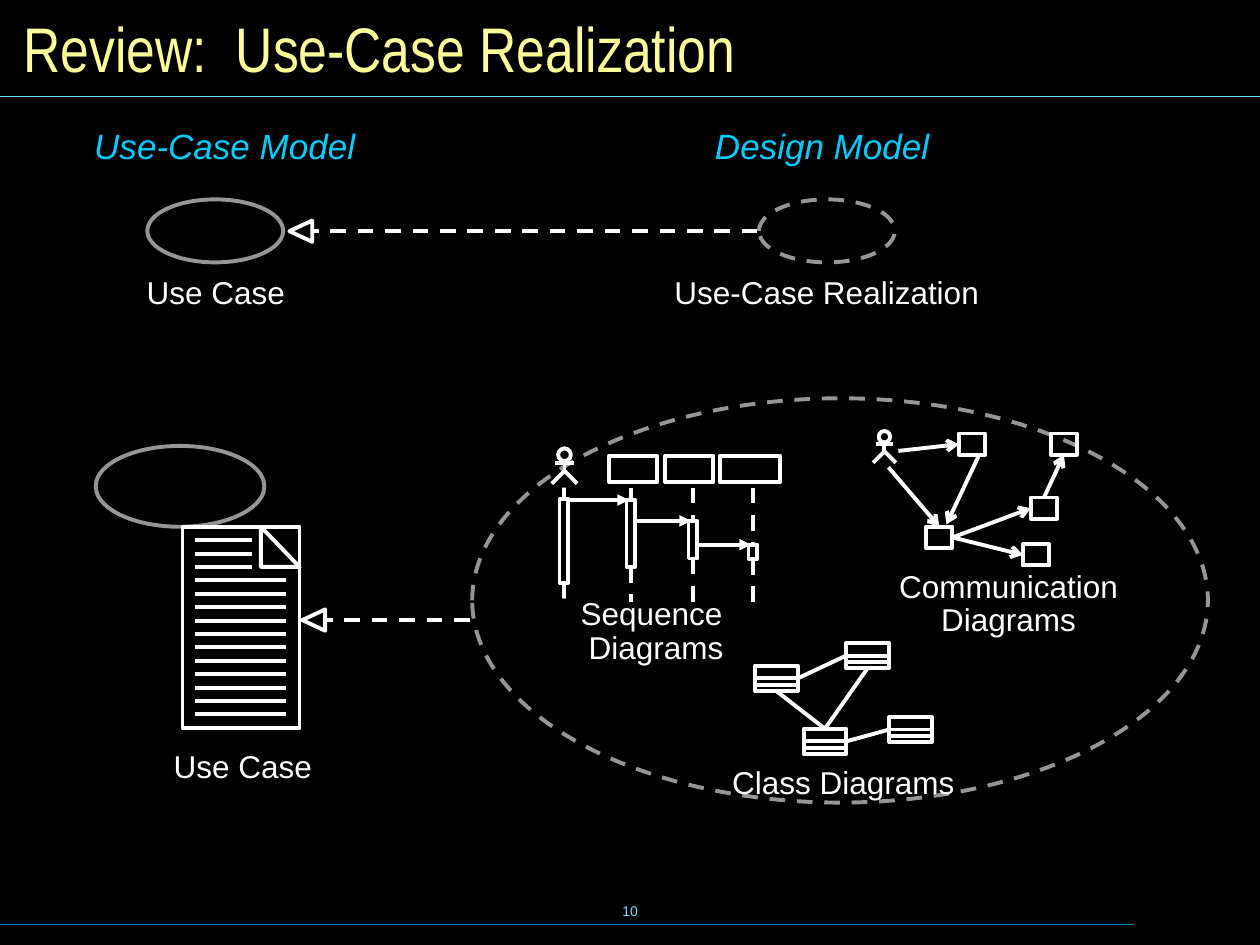
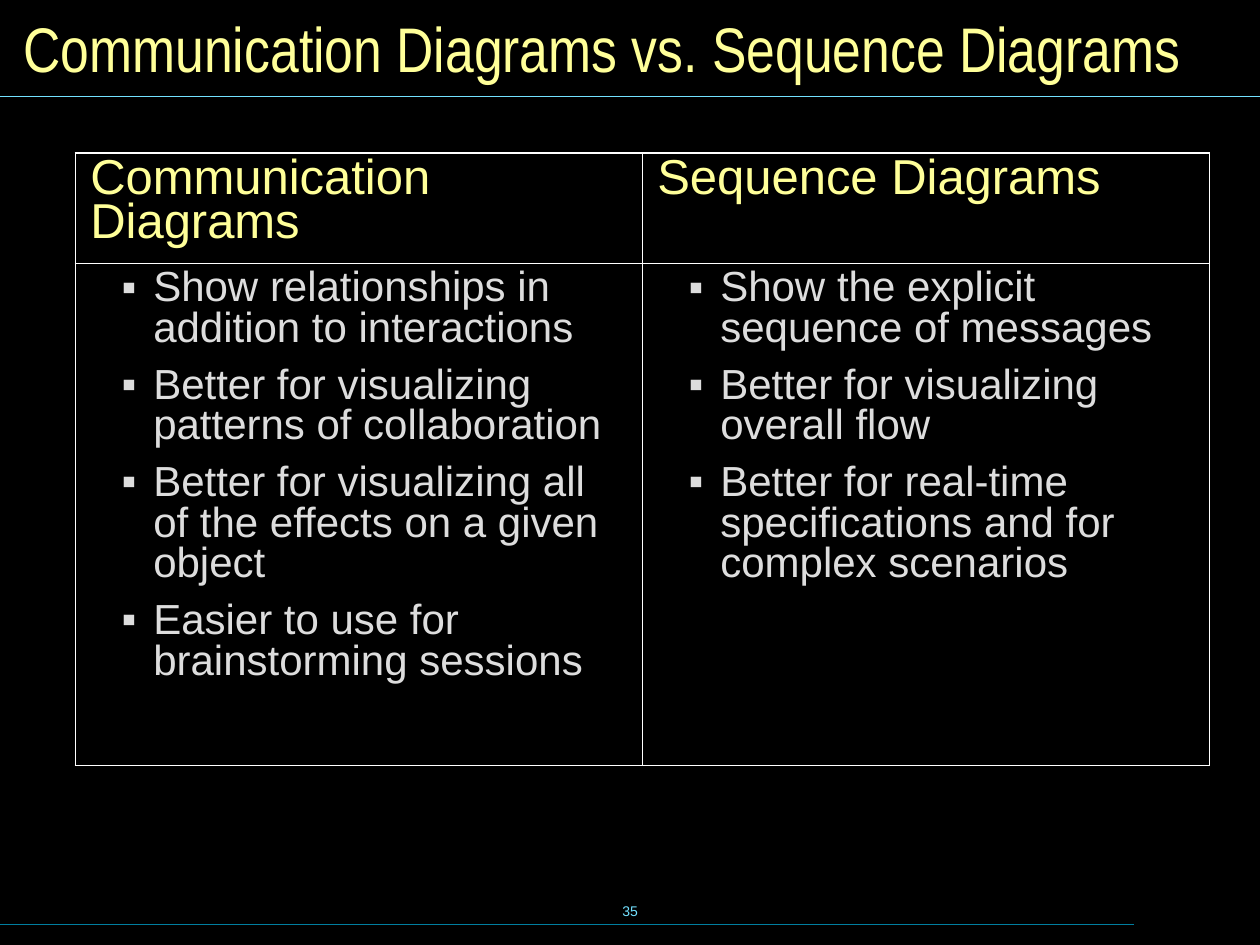
from lxml.etree import SubElement
from pptx import Presentation
from pptx.dml.color import RGBColor
from pptx.enum.dml import MSO_LINE_DASH_STYLE as Dash
from pptx.enum.shapes import MSO_CONNECTOR as Connector, MSO_SHAPE as Shape
from pptx.enum.text import MSO_ANCHOR as Anchor, MSO_AUTO_SIZE as AutoSize, PP_ALIGN as Align
from pptx.oxml.ns import qn
from pptx.util import Cm, Pt

COLORS = {"black": "000000", "white": "FFFFFF", "gray": "969696", "heading": "FFFF99",
          "model": "00CCFF", "rule": "73E1FF", "footer_rule": "007E9F", "body": "DDDDDD"}
TITLE = {"name": "Arial Narrow", "size": Pt(36), "color": "heading"}
LABEL = {"name": "Arial", "size": Pt(18), "color": "white"}
MODEL = {"name": "Arial", "size": Pt(20), "color": "model", "italic": True}
PAGE_NUMBER = {"name": "Arial", "size": Pt(8), "color": "rule"}
TABLE_HEAD = {"name": "Arial", "size": Pt(28), "color": "heading"}
TABLE_BODY = {"name": "Arial", "size": Pt(24), "color": "body"}

# All positions and sizes below are in centimetres.
# text, (left, top, width, height), font, paragraph alignment
LABELS = [
    ("Use-Case Model", (1.65, 2.38, 5.84, 1.12), MODEL, Align.LEFT),
    ("Design Model", (13.97, 2.38, 5.21, 1.12), MODEL, Align.CENTER),
    ("Use Case", (2.7, 5.38, 3.3, 1.02), LABEL, Align.CENTER),
    ("Use-Case Realization", (13.34, 5.38, 6.65, 1.02), LABEL, Align.CENTER),
    ("Use Case", (2.75, 14.94, 4.29, 1.02), LABEL, Align.CENTER),
    ("Class Diagrams", (14, 15.26, 6, 1.02), LABEL, Align.CENTER),
]
WRAPPED_LABELS = [
    ("Communication Diagrams", (16.75, 11.39, 7.16, 1.6)),
    ("Sequence \vDiagrams", (11.28, 11.95, 3.89, 1.6)),
]

# box, dash
ELLIPSES = [
    ((9.52, 8.03, 14.83, 8.15), Dash.DASH),
    ((1.93, 8.99, 3.4, 1.63), None),
    ((2.97, 4.02, 2.74, 1.27), None),
    ((15.3, 4.02, 2.74, 1.27), Dash.DASH),
]
# line start x, line end x, y
REALIZATIONS = [(15.27, 6.32, 4.65), (9.47, 6.58, 12.49)]

CLASS_SIZE = (0.86, 0.51)
CLASSES = {"left": (15.22, 13.42), "top": (17.06, 12.96),
           "bottom": (16.2, 14.69), "right": (17.93, 14.45)}
ASSOCIATIONS = [(("bottom", 0), ("left", 2)), (("left", 3), ("top", 1)),
                (("bottom", 3), ("right", 1)), (("bottom", 0), ("top", 2))]

OBJECT_SIZE = (0.53, 0.43)
OBJECTS = {"first": (19.33, 8.74), "hub": (18.67, 10.62), "lower": (20.62, 10.97),
           "middle": (20.78, 10.03), "last": (21.18, 8.74)}
# each end is a point or an (object, side) pair
LINKS = [((17.91, 9.42), ("hub", 0)), ((18.11, 9.09), ("first", 1)),
         (("hub", 3), ("lower", 1)), (("hub", 3), ("middle", 1)),
         (("middle", 0), ("last", 2)), ((19.74, 9.17), (19.08, 10.57))]

# lifeline x, activation top, activation bottom
LIFELINES = [(11.37, 10.06, 11.75), (12.72, 10.08, 11.43),
             (13.97, 10.5, 11.26), (15.18, 10.98, 11.27)]
LIFELINE_TOP, LIFELINE_BOTTOM = 9.83, 12.14
PARTICIPANTS = [(12.28, 0.97), (13.41, 0.97), (14.51, 1.22)]  # left, width
ACTORS = [(17.83, 8.69, 0.64), (11.38, 9.04, 0.71)]  # centre x, top, height

DOCUMENT = (3.68, 10.62, 2.36, 4.06)
FOLD = [(5.26, 10.62), (6.04, 11.43), (5.26, 11.43)]

COMPARISON = [
    ("Communication Diagrams", [
        "Show relationships in addition to interactions",
        "Better for visualizing patterns of collaboration",
        "Better for visualizing all of the effects on a given object",
        "Easier to use for brainstorming sessions"]),
    ("Sequence Diagrams", [
        "Show the explicit sequence of messages",
        "Better for visualizing overall flow",
        "Better for real-time specifications and for complex scenarios"]),
]


def rgb(color):
    return RGBColor.from_string(COLORS[color])


def cm(values):
    return [Cm(value) for value in values]


def set_font(font, style):
    for name, value in style.items():
        if name == "color":
            font.color.rgb = rgb(value)
        else:
            setattr(font, name, value)


def set_line(line, color="white", width=2.25, dash=None):
    line.color.rgb = rgb(color)
    line.width = Pt(width)
    if dash:
        line.dash_style = dash


def outline(shape, **line_style):
    shape.shadow.inherit = False
    shape.fill.background()
    set_line(shape.line, **line_style)
    return shape


def add_outline(slide, kind, box, **line_style):
    return outline(slide.shapes.add_shape(kind, *cm(box)), **line_style)


def add_polyline(slide, points, close):
    first, *others = [cm(point) for point in points]
    builder = slide.shapes.build_freeform(*first)
    builder.add_line_segments(others, close=close)
    return outline(builder.convert_to_shape())


def add_line(slide, start, end, arrow=None, **line_style):
    """Draw a line; each end is an (x, y) point or a (shape, side) pair."""
    joined = [hasattr(place[0], "shape_id") for place in (start, end)]
    begin, finish = [(0, 0) if join else place for join, place in zip(joined, (start, end))]
    line = slide.shapes.add_connector(Connector.STRAIGHT, *cm(begin + finish))
    if joined[0]:
        line.begin_connect(*start)
    if joined[1]:
        line.end_connect(*end)
    set_line(line.line, **line_style)
    if arrow:
        SubElement(line.element.spPr.find(qn("a:ln")), qn("a:tailEnd"), type=arrow)
    SubElement(line.element.spPr, qn("a:effectLst"))


def add_label(slide, text, box, style, align=Align.CENTER, wrap=False):
    frame = slide.shapes.add_textbox(*cm(box)).text_frame
    frame.word_wrap = wrap
    frame.text = text
    paragraph = frame.paragraphs[0]
    paragraph.alignment = align
    for run in paragraph.runs:
        set_font(run.font, style)
    return frame


def add_base_slide(presentation, title, number):
    slide = presentation.slides.add_slide(presentation.slide_layouts[5])
    page = add_label(slide, number, (8.68, 17.73, 8.05, 1.27), PAGE_NUMBER)
    page.vertical_anchor = Anchor.MIDDLE
    add_line(slide, (0, 18.63), (22.86, 18.63), color="footer_rule", width=0.75)
    add_line(slide, (0, 1.94), (25.4, 1.94), color="rule", width=0.75)
    holder = slide.shapes.title
    holder.left, holder.top, holder.width, holder.height = cm((0.22, 0.22, 25, 1.47))
    frame = holder.text_frame
    frame.text = title
    frame.auto_size = AutoSize.NONE
    frame.vertical_anchor = Anchor.MIDDLE
    frame.paragraphs[0].alignment = Align.LEFT
    set_font(frame.paragraphs[0].runs[0].font, TITLE)
    return slide


def add_actor(slide, x, top, height):
    head, arms, hip = 0.36 * height, top + 0.42 * height, top + 0.64 * height
    reach, stride, foot = 0.28 * height, 0.36 * height, top + height
    add_outline(slide, Shape.OVAL, (x - head / 2, top, head, head))
    add_line(slide, (x, top + head), (x, hip))
    add_line(slide, (x - reach, arms), (x + reach, arms))
    add_polyline(slide, [(x - stride, foot), (x, hip), (x + stride, foot)], close=False)


def add_linked_boxes(slide, places, size, links, arrow=None):
    boxes = {name: add_outline(slide, Shape.RECTANGLE, place + size)
             for name, place in places.items()}
    for link in links:
        start, end = [(boxes.get(first, first), second) for first, second in link]
        add_line(slide, start, end, arrow=arrow)


def add_class_diagram(slide):
    add_linked_boxes(slide, CLASSES, CLASS_SIZE, ASSOCIATIONS)
    width, height = CLASS_SIZE
    for left, top in CLASSES.values():
        for share in (0.5, 0.75):
            y = top + share * height
            add_line(slide, (left, y), (left + width, y))


def add_sequence_diagram(slide):
    bar = 0.18
    for x, top, bottom in LIFELINES:
        activation = add_outline(slide, Shape.RECTANGLE, (x - bar / 2, top, bar, bottom - top))
        add_line(slide, (x, LIFELINE_TOP), (activation, 0), dash=Dash.DASH)
        add_line(slide, (activation, 2), (x, LIFELINE_BOTTOM), dash=Dash.DASH)
    for (sender, *_), (receiver, y, _) in zip(LIFELINES, LIFELINES[1:]):
        add_line(slide, (sender + bar / 2, y), (receiver - 0.04, y), arrow="triangle")
    for left, width in PARTICIPANTS:
        add_outline(slide, Shape.RECTANGLE, (left, 9.19, width, 0.53))


def add_document(slide):
    add_outline(slide, Shape.RECTANGLE, DOCUMENT)
    add_polyline(slide, FOLD, close=True)
    for row in range(14):
        y = 10.89 + 0.27 * row
        add_line(slide, (3.94, y), (5.08 if row < 3 else 5.77, y))


def build_realization_slide(presentation):
    slide = add_base_slide(presentation, "Review:  Use-Case Realization", "10")
    for box, dash in ELLIPSES:
        add_outline(slide, Shape.OVAL, box, color="gray", dash=dash)
    add_class_diagram(slide)
    add_document(slide)
    add_linked_boxes(slide, OBJECTS, OBJECT_SIZE, LINKS, arrow="arrow")
    add_sequence_diagram(slide)
    for actor in ACTORS:
        add_actor(slide, *actor)
    for start, end, y in REALIZATIONS:
        add_line(slide, (start, y), (end, y), dash=Dash.DASH)
        head = add_outline(slide, Shape.ISOSCELES_TRIANGLE, (end - 0.47, y - 0.22, 0.43, 0.46))
        head.rotation = 270
    for label in LABELS:
        add_label(slide, *label)
    for text, box in WRAPPED_LABELS:
        frame = add_label(slide, text, box, LABEL, wrap=True)
        frame.paragraphs[0].line_spacing = Pt(19)


def set_borders(cell, widths):
    """Widths in points for the left, right, top and bottom edges."""
    properties = cell._tc.get_or_add_tcPr()
    for tag, width in zip(("a:lnL", "a:lnR", "a:lnT", "a:lnB"), widths):
        border = SubElement(properties, qn(tag), w=str(Pt(width)))
        fill = SubElement(border, qn("a:solidFill"))
        SubElement(fill, qn("a:srgbClr"), val=COLORS["white"])


def add_bullet(paragraph):
    properties = paragraph._p.get_or_add_pPr()
    properties.set("marL", str(Cm(1.27)))
    properties.set("indent", str(Cm(-0.64)))
    color = SubElement(properties, qn("a:buClr"))
    SubElement(color, qn("a:srgbClr"), val=COLORS["body"])
    SubElement(properties, qn("a:buFont"), typeface="Arial")
    SubElement(properties, qn("a:buChar"), char="▪")


def fill_cell(cell, texts, style, spacing, bulleted):
    cell.margin_left = cell.margin_right = Cm(0.3)
    cell.margin_top = cell.margin_bottom = Cm(0.13)
    cell.fill.solid()
    cell.fill.fore_color.rgb = rgb("black")
    frame = cell.text_frame
    for index, text in enumerate(texts):
        paragraph = frame.add_paragraph() if index else frame.paragraphs[0]
        paragraph.line_spacing = spacing
        if index:
            paragraph.space_before = Pt(9)
        if bulleted:
            add_bullet(paragraph)
        run = paragraph.add_run()
        run.text = text
        set_font(run.font, style)


def build_comparison_slide(presentation):
    slide = add_base_slide(presentation, "Communication Diagrams vs. Sequence Diagrams", "35")
    table = slide.shapes.add_table(2, 2, *cm((1.52, 3.09, 22.86, 12.34))).table
    table.first_row = table.horz_banding = False
    table.rows[0].height, table.rows[1].height = cm((2.21, 10.13))
    outer, inner = 1.08, 0.45
    for column, (heading, points) in enumerate(COMPARISON):
        sides = (inner, outer) if column else (outer, inner)
        head, body = table.cell(0, column), table.cell(1, column)
        set_borders(head, sides + (outer, inner))
        set_borders(body, sides + (inner, outer))
        fill_cell(head, [heading], TABLE_HEAD, 0.8, bulleted=False)
        fill_cell(body, points, TABLE_BODY, 0.87, bulleted=True)


def main():
    presentation = Presentation()
    presentation.slide_width, presentation.slide_height = Cm(25.4), Cm(19.05)
    background = presentation.slide_master.background.fill
    background.solid()
    background.fore_color.rgb = rgb("black")
    build_realization_slide(presentation)
    build_comparison_slide(presentation)
    presentation.save("out.pptx")


if __name__ == "__main__":
    main()
